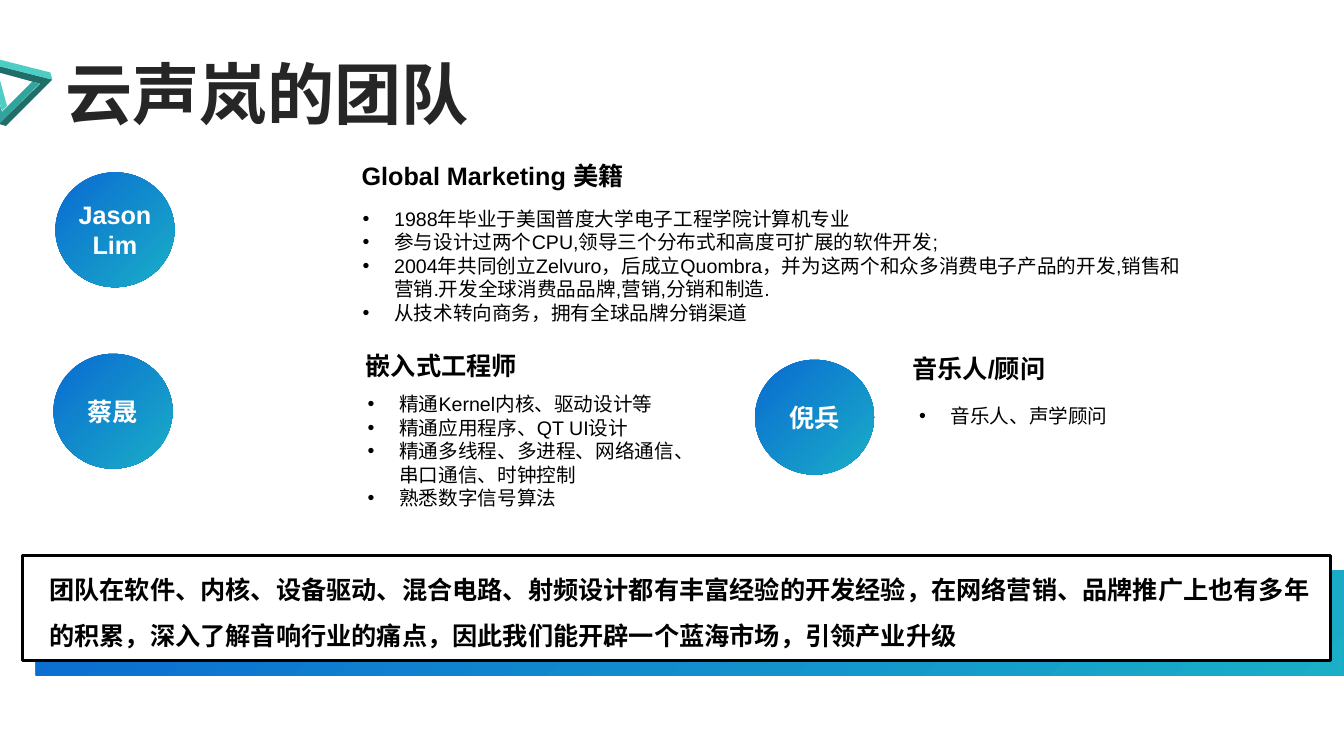
"""Build the team slide with member profiles and a summary banner."""
from pptx import Presentation
from pptx.dml.color import RGBColor
from pptx.enum.shapes import MSO_SHAPE
from pptx.enum.text import MSO_ANCHOR, MSO_AUTO_SIZE, PP_ALIGN
from pptx.oxml.ns import qn
from pptx.util import Pt
from lxml.etree import SubElement

TITLE = "云声岚的团队"
SUMMARY = ("团队在软件、内核、设备驱动、混合电路、射频设计都有丰富经验的开发经验，"
           "在网络营销、品牌推广上也有多年的积累，深入了解音响行业的痛点，"
           "因此我们能开辟一个蓝海市场，引领产业升级")
MEMBERS = [
    {"name": ["Jason", "Lim"], "badge": (39.6, 123.1),
     "role": "Global Marketing 美籍", "role_box": (251.3, 110.9, 227.5),
     "role_align": PP_ALIGN.LEFT, "skills_box": (252, 144, 602.6, 92.2),
     "skills": ["1988年毕业于美国普度大学电子工程学院计算机专业",
                "参与设计过两个CPU,领导三个分布式和高度可扩展的软件开发;",
                "2004年共同创立Zelvuro，后成立Quombra，并为这两个和众多消费电子产品的开发,"
                "销售和营销.开发全球消费品品牌,营销,分销和制造.",
                "从技术转向商务，拥有全球品牌分销渠道"]},
    {"name": ["蔡晟"], "badge": (38.2, 252.7),
     "role": "嵌入式工程师", "role_box": (254.2, 247, 130),
     "role_align": PP_ALIGN.LEFT, "skills_box": (255.6, 276.5, 249.8, 92.2),
     "skills": ["精通Kernel内核、驱动设计等", "精通应用程序、QT UI设计",
                "精通多线程、多进程、网络通信、串口通信、时钟控制", "熟悉数字信号算法"]},
    {"name": ["倪兵"], "badge": (539.3, 257),
     "role": "音乐人/顾问", "role_box": (560.9, 249.1, 276.5),
     "role_align": PP_ALIGN.CENTER, "skills_box": (649.4, 285.1, 228.2, 41),
     "skills": ["音乐人、声学顾问"]},
]
TRIANGLE_FACES = {
    "left": [(-9.4, 40.3), (-13.7, 43.9), (-0.7, 88.6), (28.1, 59.8), (23, 58.3), (1.4, 79.9)],
    "right": [(-2.2, 46.8), (-0.7, 51.8), (23, 58.3), (28.8, 59.8), (-0.7, 88.6), (4.3, 90),
              (37.4, 56.9)],
    "top": [(-9.4, 40.3), (1.4, 79.2), (5, 75.6), (-2.9, 46.8), (37.4, 56.9), (36, 51.8)],
}
THEME = {
    "font": "Arial", "title_size": 48, "heading_size": 18, "body_size": 14,
    "title": "262626", "ink": "000000", "paper": "FFFFFF",
    "gradient": ("0A6CD1", "1AAEC7"),
    "left": "2FA59D", "right": "1F6E69", "top": "4ECDC4",
}
BADGE_SIZE = (85, 82)
BANNER = (15.8, 396.7, 934.6, 74.9)
BANNER_OFFSET = (9.4, 10.8)
BULLET_INDENT = 22.5


def color(key):
    return RGBColor.from_string(THEME[key])


def write(frame, lines, size, ink, bold=False, align=PP_ALIGN.LEFT, bullets=False, spacing=None):
    frame.word_wrap = True
    for index, line in enumerate(lines):
        paragraph = frame.add_paragraph() if index else frame.paragraphs[0]
        paragraph.alignment = align
        if spacing:
            paragraph.line_spacing = spacing
        if bullets:
            properties = paragraph._p.get_or_add_pPr()
            properties.set("marL", str(Pt(BULLET_INDENT)))
            properties.set("indent", str(-Pt(BULLET_INDENT)))
            SubElement(properties, qn("a:buFont")).set("typeface", THEME["font"])
            SubElement(properties, qn("a:buChar")).set("char", "•")
        run = paragraph.add_run()
        run.text = line
        run.font.name = THEME["font"]
        run.font.size = Pt(THEME[size])
        run.font.bold = bold
        run.font.color.rgb = color(ink)


def set_insets(frame, left, top, right, bottom):
    frame.margin_left, frame.margin_top = Pt(left), Pt(top)
    frame.margin_right, frame.margin_bottom = Pt(right), Pt(bottom)


def add_text(slide, box, lines, size, **style):
    frame = slide.shapes.add_textbox(*map(Pt, box)).text_frame
    write(frame, lines, size, "ink", **style)


def add_block(slide, preset, box):
    block = slide.shapes.add_shape(preset, *map(Pt, box))
    block.shadow.inherit = False
    block.line.fill.background()
    return block


def fill_gradient(block):
    block.fill.gradient()
    block.fill.gradient_angle = 315
    for stop, position, shade in zip(block.fill.gradient_stops, (0.02, 1), THEME["gradient"]):
        stop.position = position
        stop.color.rgb = RGBColor.from_string(shade)


def add_banner(slide):
    left, top, width, height = BANNER
    across, down = BANNER_OFFSET
    fill_gradient(add_block(slide, MSO_SHAPE.RECTANGLE, (left + across, top + down, width, height)))
    banner = add_block(slide, MSO_SHAPE.RECTANGLE, BANNER)
    banner.fill.solid()
    banner.fill.fore_color.rgb = color("paper")
    banner.line.color.rgb = color("ink")
    banner.line.width = Pt(2)
    banner.text_frame.vertical_anchor = MSO_ANCHOR.TOP
    set_insets(banner.text_frame, 19.4, 3, 14.4, 0)
    write(banner.text_frame, [SUMMARY], "heading_size", "ink", bold=True, spacing=1.5)


def add_title(slide):
    title = slide.shapes.title
    title.left, title.top, title.width, title.height = map(Pt, (39.6, 33.8, 850.3, 65.5))
    frame = title.text_frame
    frame.auto_size = MSO_AUTO_SIZE.NONE
    frame.vertical_anchor = MSO_ANCHOR.TOP
    write(frame, [TITLE], "title_size", "title", bold=True)


def add_triangle(slide):
    for face, corners in TRIANGLE_FACES.items():
        start, *rest = [(Pt(x), Pt(y)) for x, y in corners]
        builder = slide.shapes.build_freeform(*start)
        builder.add_line_segments(rest, close=True)
        side = builder.convert_to_shape()
        side.shadow.inherit = False
        side.fill.solid()
        side.fill.fore_color.rgb = color(face)
        side.line.fill.background()


def add_member(slide, member):
    badge = add_block(slide, MSO_SHAPE.OVAL, member["badge"] + BADGE_SIZE)
    fill_gradient(badge)
    badge.text_frame.vertical_anchor = MSO_ANCHOR.MIDDLE
    set_insets(badge.text_frame, 0, 0, 0, 0)
    write(badge.text_frame, member["name"], "heading_size", "paper", bold=True,
          align=PP_ALIGN.CENTER)
    add_text(slide, member["role_box"] + (28.8,), [member["role"]], "heading_size",
             bold=True, align=member["role_align"])
    add_text(slide, member["skills_box"], member["skills"], "body_size", bullets=True)


def main():
    deck = Presentation()
    deck.slide_width, deck.slide_height = Pt(960), Pt(540)
    slide = deck.slides.add_slide(deck.slide_layouts[5])
    add_banner(slide)
    add_title(slide)
    add_triangle(slide)
    for member in MEMBERS:
        add_member(slide, member)
    deck.save("out.pptx")


if __name__ == "__main__":
    main()
